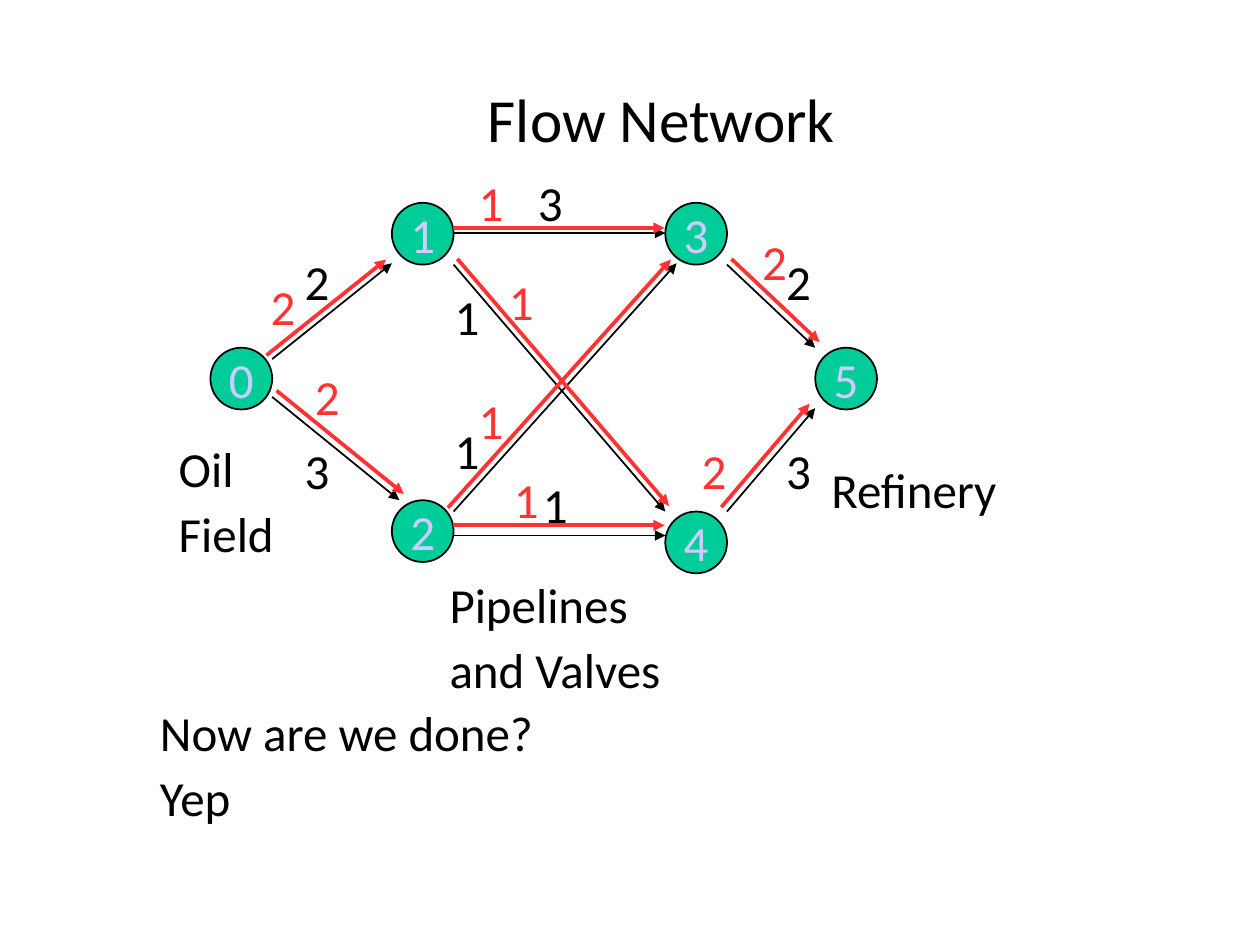
from dataclasses import dataclass

from lxml import etree
from pptx import Presentation
from pptx import util as u
from pptx.dml.color import RGBColor
from pptx.enum import shapes, text
from pptx.oxml import ns

BLACK = RGBColor(0x00, 0x00, 0x00)
RED = RGBColor(0xFF, 0x33, 0x33)
GREEN = RGBColor(0x00, 0xCC, 0x99)
LAVENDER = RGBColor(0xCC, 0xCC, 0xFF)
FONT = "Calibri"
WIDTH, HEIGHT = u.Inches(10), u.Inches(7.5)
COLUMN, ROW = WIDTH / 100, HEIGHT / 75
NODE_SIZE = 4.9
AMOUNT_SIZE = (5.9, 5.7)

Point = tuple[float, float]


@dataclass(frozen=True)
class Node:
    label: str
    corner: Point


@dataclass(frozen=True)
class Pipe:
    start: Point
    end: Point
    flow_shift: Point
    capacity: str
    capacity_at: Point
    flow: str
    flow_at: Point


@dataclass(frozen=True)
class Caption:
    lines: tuple[str, ...]
    corner: Point
    size: Point


NODES = (
    Node("0", (16.7, 27.6)),
    Node("1", (31.1, 16.1)),
    Node("2", (31.1, 39.7)),
    Node("3", (52.8, 16.1)),
    Node("4", (52.8, 40.6)),
    Node("5", (64.7, 27.6)),
)
PIPES = (
    Pipe((21.6, 28.5), (31.1, 20.9), (-0.45, -0.3), "2", (23.1, 20), "2", (20.4, 22)),
    Pipe((21.6, 31.5), (31.7, 39.7), (0.35, -0.5), "3", (23.1, 35), "2", (23.9, 29.1)),
    Pipe((36, 18.5), (52.8, 18.5), (-0.05, -0.4), "3", (41.6, 13.7), "1", (36.9, 13.7)),
    Pipe((36, 21), (52.8, 40.6), (0.3, -0.45), "1", (35, 22.8), "1", (39.3, 21.6)),
    Pipe((36, 40.6), (53.7, 20.9), (-0.45, -0.3), "1", (35, 33.4), "1", (36.9, 31)),
    Pipe((36, 42.5), (52.8, 42.5), (-0.05, -0.8), "1", (42, 37.7), "1", (39.7, 37.3)),
    Pipe((57.7, 21), (64.7, 27.6), (0.35, -0.45), "2", (61.3, 20), "2", (59.4, 18.4)),
    Pipe((57.7, 40.6), (64.7, 32.4), (-0.45, -0.35), "3", (61.3, 35), "2", (54.6, 35)),
)
CAPTIONS = (
    Caption(("Oil", "Field"), (13.1, 34.8), (17.8, 12.2)),
    Caption(("Pipelines", "and Valves"), (34.6, 45.6), (26, 12)),
    Caption(("Refinery",), (64.9, 36.5), (18.6, 6)),
)


def on_grid(point: Point) -> tuple[int, int]:
    """Turn columns and rows into slide lengths."""
    return round(point[0] * COLUMN), round(point[1] * ROW)


def place(shape, corner: Point, size: Point) -> None:
    """Move a placeholder to its grid cells."""
    shape.left, shape.top = on_grid(corner)
    shape.width, shape.height = on_grid(size)


def style_font(paragraph, size: float, color: RGBColor) -> None:
    """Set the font of a whole paragraph."""
    paragraph.font.name = FONT
    paragraph.font.size = u.Pt(size)
    paragraph.font.color.rgb = color


def indent(paragraph, margin: float, first_line: float) -> None:
    """Indent a paragraph, in columns, and leave out its bullet."""
    properties = paragraph._p.get_or_add_pPr()
    properties.set("marL", str(round(margin * COLUMN)))
    properties.set("indent", str(round(first_line * COLUMN)))
    etree.SubElement(properties, ns.qn("a:buNone"))


def write_lines(frame, lines: tuple[str, ...], color: RGBColor) -> None:
    """Fill a text frame with evenly spaced lines."""
    frame.word_wrap = True
    frame.auto_size = text.MSO_AUTO_SIZE.NONE
    frame.vertical_anchor = text.MSO_ANCHOR.TOP
    frame.text = "\n".join(lines)
    for paragraph in frame.paragraphs:
        indent(paragraph, 3.8, -3.7)
        paragraph.line_spacing = 0.9
        paragraph.space_before = u.Pt(7)
        style_font(paragraph, 28, color)


def add_text(slide, lines: tuple[str, ...], corner: Point, size: Point, color: RGBColor) -> None:
    """Add a text box on the grid."""
    box = slide.shapes.add_textbox(*on_grid(corner), *on_grid(size))
    write_lines(box.text_frame, lines, color)


def add_node(slide, node: Node) -> None:
    """Draw one numbered junction."""
    circle = slide.shapes.add_shape(
        shapes.MSO_SHAPE.OVAL, *on_grid(node.corner), *on_grid((NODE_SIZE, NODE_SIZE))
    )
    circle.shadow.inherit = False
    circle.fill.solid()
    circle.fill.fore_color.rgb = GREEN
    circle.line.color.rgb = BLACK
    circle.line.width = u.Pt(1)
    frame = circle.text_frame
    frame.word_wrap = False
    frame.vertical_anchor = text.MSO_ANCHOR.MIDDLE
    frame.text = node.label
    frame.paragraphs[0].alignment = text.PP_ALIGN.CENTER
    style_font(frame.paragraphs[0], 28, LAVENDER)


def add_arrow(slide, start: Point, end: Point, color: RGBColor, width: float) -> None:
    """Draw an arrow between two grid points."""
    arrow = slide.shapes.add_connector(
        shapes.MSO_CONNECTOR.STRAIGHT, *on_grid(start), *on_grid(end)
    )
    arrow.line.color.rgb = color
    arrow.line.width = u.Pt(width)
    etree.SubElement(arrow.line._get_or_add_ln(), ns.qn("a:tailEnd"), type="triangle")
    etree.SubElement(arrow._element.spPr, ns.qn("a:effectLst"))


def add_capacity(slide, pipe: Pipe) -> None:
    """Draw a pipe with its capacity."""
    add_arrow(slide, pipe.start, pipe.end, BLACK, 1)
    add_text(slide, (pipe.capacity,), pipe.capacity_at, AMOUNT_SIZE, BLACK)


def add_flow(slide, pipe: Pipe) -> None:
    """Draw the flow beside its pipe."""
    start, end = (
        (x + pipe.flow_shift[0], y + pipe.flow_shift[1]) for x, y in (pipe.start, pipe.end)
    )
    add_arrow(slide, start, end, RED, 2.15)
    add_text(slide, (pipe.flow,), pipe.flow_at, AMOUNT_SIZE, RED)


def main() -> None:
    """Build the flow network slide."""
    deck = Presentation()
    deck.slide_width, deck.slide_height = WIDTH, HEIGHT
    slide = deck.slides.add_slide(deck.slide_layouts[1])

    title, question = slide.placeholders
    place(title, (7.5, 5.2), (85, 8.3))
    title.text_frame.text = "Flow Network"
    title.text_frame.auto_size = text.MSO_AUTO_SIZE.NONE
    title.text_frame.vertical_anchor = text.MSO_ANCHOR.MIDDLE
    heading = title.text_frame.paragraphs[0]
    indent(heading, 8.1, -3.1)
    heading.alignment = text.PP_ALIGN.CENTER
    heading.space_before = u.Pt(6)
    style_font(heading, 35, BLACK)

    place(question, (11.6, 55.8), (71.7, 7.6))
    write_lines(question.text_frame, ("Now are we done?", "Yep"), BLACK)

    for node in NODES:
        add_node(slide, node)
    for caption in CAPTIONS:
        add_text(slide, caption.lines, caption.corner, caption.size, BLACK)
    for add_layer in (add_capacity, add_flow):
        for pipe in PIPES:
            add_layer(slide, pipe)
    deck.save("out.pptx")


if __name__ == "__main__":
    main()
